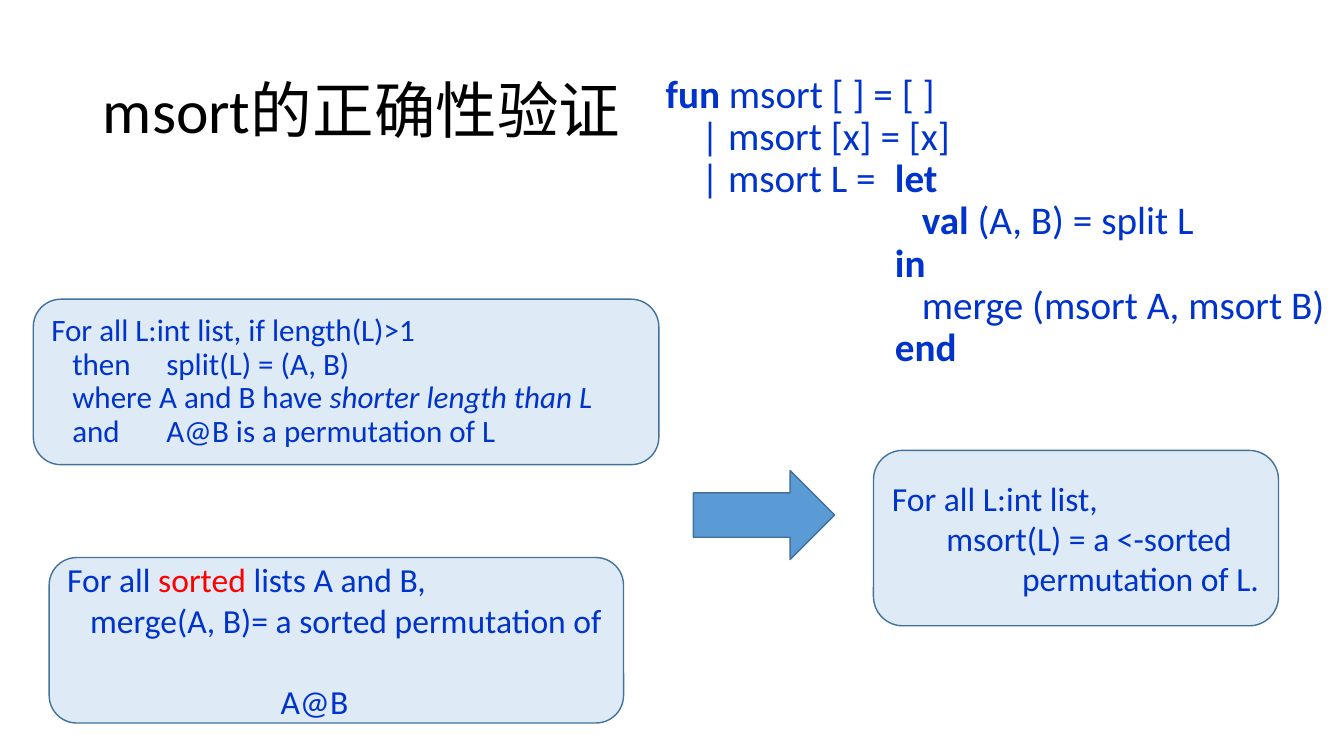
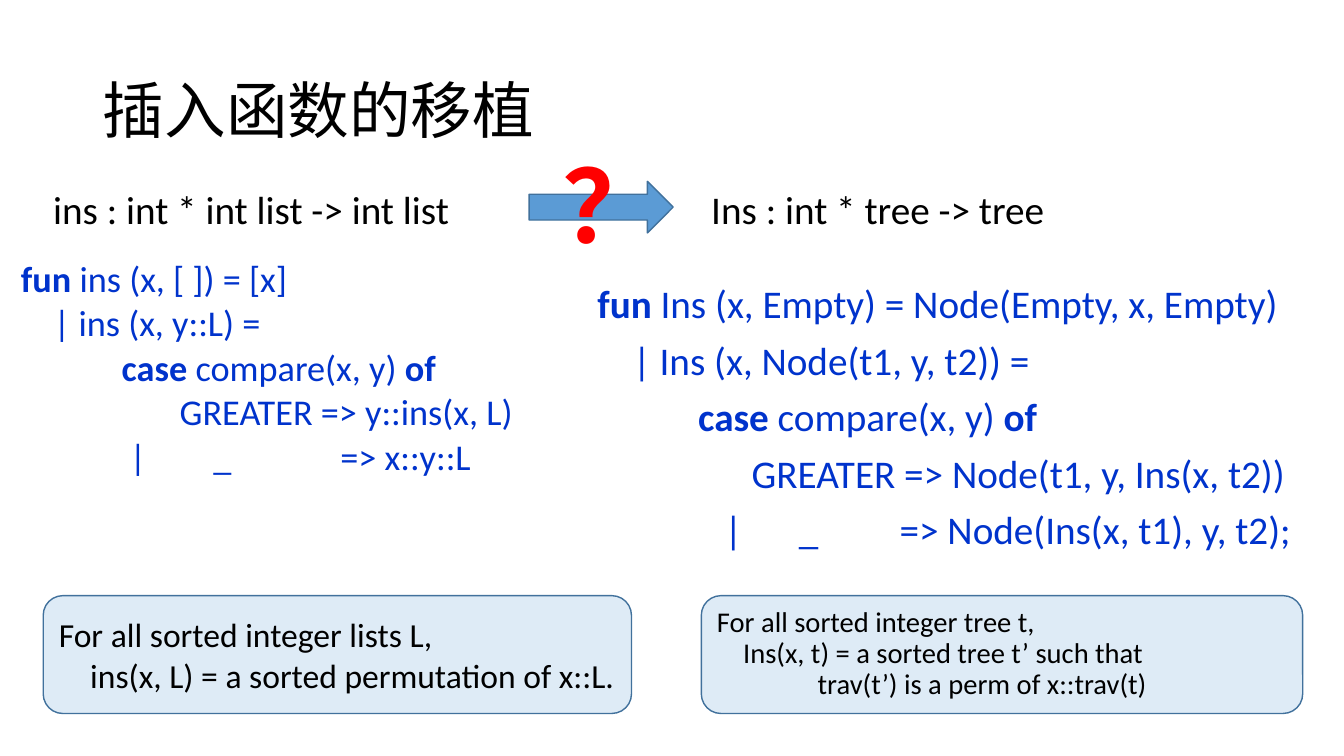
from dataclasses import dataclass

from lxml import etree
from pptx import Presentation
from pptx.dml.color import RGBColor
from pptx.enum import lang, shapes, text
from pptx.oxml import ns
from pptx.util import Cm, Pt

INK = {"text": "000000", "code": "0033CC", "alert": "FF0000",
       "card": "DEEBF6", "arrow": "5B9BD5", "edge": "41719C"}
FONT = "Calibri"


@dataclass(frozen=True)
class Box:
    left: float
    top: float
    width: float
    height: float

    def sides(self) -> list:
        return [Cm(n) for n in (self.left, self.top, self.width, self.height)]


@dataclass(frozen=True)
class Run:
    text: str
    bold: bool = False
    slant: bool = False
    ink: str = ""


@dataclass(frozen=True)
class Line:
    """Runs of one paragraph, its tab stops in cm and an own gap above in points."""
    runs: tuple
    stops: tuple = ()
    gap: float = 0


@dataclass(frozen=True)
class Block:
    """A box with its lines and their format."""
    box: Box
    lines: tuple
    size: float
    ink: str = "text"
    pitch: float = 1.0
    gap: float = 0


def line(*parts, stops: tuple = (), gap: float = 0) -> Line:
    runs = tuple(Run(p) if isinstance(p, str) else p for p in parts)
    return Line(runs, stops, gap)


def bold(words: str) -> Run:
    return Run(words, bold=True)


def color(name: str) -> RGBColor:
    return RGBColor.from_string(INK[name])


def set_tabs(para, stops: tuple) -> None:
    if stops:
        props = para._p.get_or_add_pPr()
        tabs = etree.SubElement(props, ns.qn("a:tabLst"))
        for stop in stops:
            etree.SubElement(tabs, ns.qn("a:tab"), pos=str(Cm(stop)), algn="l")


def write(frame, lines: tuple, *, size: float, ink: str = "text", font: str = FONT,
          pitch: float = 1.0, gap: float = 0, middle: bool = False,
          tongue=lang.MSO_LANGUAGE_ID.ENGLISH_US) -> None:
    frame.word_wrap = True
    frame.auto_size = text.MSO_AUTO_SIZE.NONE
    frame.vertical_anchor = text.MSO_ANCHOR.MIDDLE if middle else text.MSO_ANCHOR.TOP
    for i, row in enumerate(lines):
        para = frame.add_paragraph() if i else frame.paragraphs[0]
        set_tabs(para, row.stops)
        para.alignment = text.PP_ALIGN.LEFT
        para.line_spacing = pitch
        para.space_before = Pt(row.gap or gap) if i else Pt(0)
        for part in row.runs:
            run = para.add_run()
            run.text = part.text
            face = run.font
            face.name, face.size = font, Pt(size)
            face.bold, face.italic = part.bold, part.slant
            face.color.rgb = color(part.ink or ink)
            face.language_id = tongue


def add_slide(deck, title: str):
    slide = deck.slides.add_slide(deck.slide_layouts[5])
    head = slide.shapes.title
    head.left, head.top, head.width, head.height = Box(2.34, 1.02, 29.21, 3.68).sides()
    write(head.text_frame, (line(title),), size=44, pitch=0.9, middle=True,
          tongue=lang.MSO_LANGUAGE_ID.SIMPLIFIED_CHINESE)
    return slide


def add_form(slide, kind, box: Box, fill: str):
    form = slide.shapes.add_shape(kind, *box.sides())
    form.shadow.inherit = False
    form.fill.solid()
    form.fill.fore_color.rgb = color(fill)
    form.line.color.rgb = color("edge")
    form.line.width = Pt(1)
    return form


def add_arrow(slide, box: Box) -> None:
    add_form(slide, shapes.MSO_SHAPE.RIGHT_ARROW, box, "arrow")


def add_card(slide, block: Block) -> None:
    card = add_form(slide, shapes.MSO_SHAPE.ROUNDED_RECTANGLE, block.box, "card")
    write(card.text_frame, block.lines, size=block.size, ink=block.ink,
          pitch=block.pitch, middle=True)


def add_text(slide, block: Block, **form) -> None:
    frame = slide.shapes.add_textbox(*block.box.sides()).text_frame
    frame.margin_right = 0
    write(frame, block.lines, size=block.size, ink=block.ink,
          pitch=block.pitch, gap=block.gap, **form)


def add_proof(deck) -> None:
    slide = add_slide(deck, "msort的正确性验证")
    cards = (
        Block(Box(0.84, 7.54, 15.77, 4.17), (
            line("For all L:int list, if length(L)>1"),
            line("\tthen\tsplit(L) = (A, B)", stops=(0.53, 2.9)),
            line("\twhere A and B have ", Run("shorter length than L", slant=True),
                 stops=(0.53,)),
            line("\tand\tA@B is a permutation of L", stops=(0.53, 2.9)),
        ), 22.2, "code", 0.9),
        Block(Box(1.24, 14.05, 14.48, 4.17), (
            line("For all ", Run("sorted", ink="alert"), " lists A and B,"),
            line("\tmerge(A, B)= a sorted permutation of", stops=(0.58,)),
            line("\tA@B", stops=(5.38,), gap=29.3),
        ), 24, "code"),
        Block(Box(22.02, 11.35, 10.21, 4.42), (
            line("For all L:int list,"),
            line("\tmsort(L) = a <-sorted", stops=(1.37,)),
            line("\tpermutation of L.", stops=(3.28,)),
        ), 24, "code"),
    )
    for card in cards:
        add_card(slide, card)
    add_arrow(slide, Box(17.48, 11.86, 3.56, 2.24))
    stops = (6, 6.68)
    add_text(slide, Block(Box(16.31, 2.03, 17.4, 7.62), (
        line(bold(" fun "), "msort [ ] = [ ]"),
        line("     | msort [x] = [x]"),
        line("     | msort L =\t", bold("let"), stops=stops),
        line(bold("\t\tval "), "(A, B) = split L", stops=stops),
        line(bold("\tin"), stops=stops),
        line("\t\tmerge (msort A, msort B)", stops=stops),
        line(bold("\tend"), stops=stops),
    ), 28, "code", 0.6, 10))


def add_port(deck) -> None:
    slide = add_slide(deck, "插入函数的移植")
    near, far = 1.09, 17.68
    for left, words in ((near, "ins : int * int list -> int list"),
                        (far, "Ins : int * tree -> tree")):
        add_text(slide, Block(Box(left, 4.55, 12.75, 1.45), (line(words),), 28))
    add_text(slide, Block(Box(0.28, 6.63, 14.35, 5.77), (
        line(bold("fun "), "ins (x, [ ]) = [x]"),
        line("    | ins (x, y::L) ="),
        line(bold("\tcase "), "compare(x, y) ", bold("of"), stops=(2.54,)),
        line("\tGREATER => y::ins(x, L)", stops=(4,)),
        line("\t|\t_\t=> x::y::L", stops=(2.74, 4.85, 8.05)),
    ), 25.9, "code", 0.7, 10))
    add_text(slide, Block(Box(14.81, 6.68, 18.42, 7.37), (
        line(bold("fun"), " Ins (x, Empty) = Node(Empty, x, Empty)"),
        line("    | Ins (x, Node(t1, y, t2)) ="),
        line(bold("\tcase"), " compare(x, y) ", bold("of"), stops=(2.54,)),
        line("\tGREATER => Node(t1, y, Ins(x, t2))", stops=(3.89,)),
        line("\t|\t_\t=> Node(Ins(x, t1), y, t2);", stops=(3.2, 5.08, 7.62)),
    ), 28, "code", 1.2))
    add_card(slide, Block(Box(near, 15.01, 14.83, 2.97), (
        line("For all sorted integer lists L,"),
        line("\tins(x, L) = a sorted permutation of x::L.", stops=(0.79,)),
    ), 24))
    add_card(slide, Block(Box(far, 15.01, 15.16, 2.97), (
        line("For all sorted integer tree t,"),
        line("\tIns(x, t) = a sorted tree t’ such that", stops=(0.66,)),
        line("\ttrav(t’) is a perm of x::trav(t)", stops=(2.54,)),
    ), 20.4, pitch=0.9))
    add_arrow(slide, Box(13.34, 4.57, 3.63, 1.3))
    add_text(slide, Block(Box(13.94, 3.48, 1.68, 3.3), (line(bold("？")),), 72, "alert"),
             font="Arial", tongue=lang.MSO_LANGUAGE_ID.SIMPLIFIED_CHINESE)


def main() -> None:
    deck = Presentation()
    deck.slide_width, deck.slide_height = Cm(33.88), Cm(19.05)
    add_proof(deck)
    add_port(deck)
    deck.save("out.pptx")


if __name__ == "__main__":
    main()
